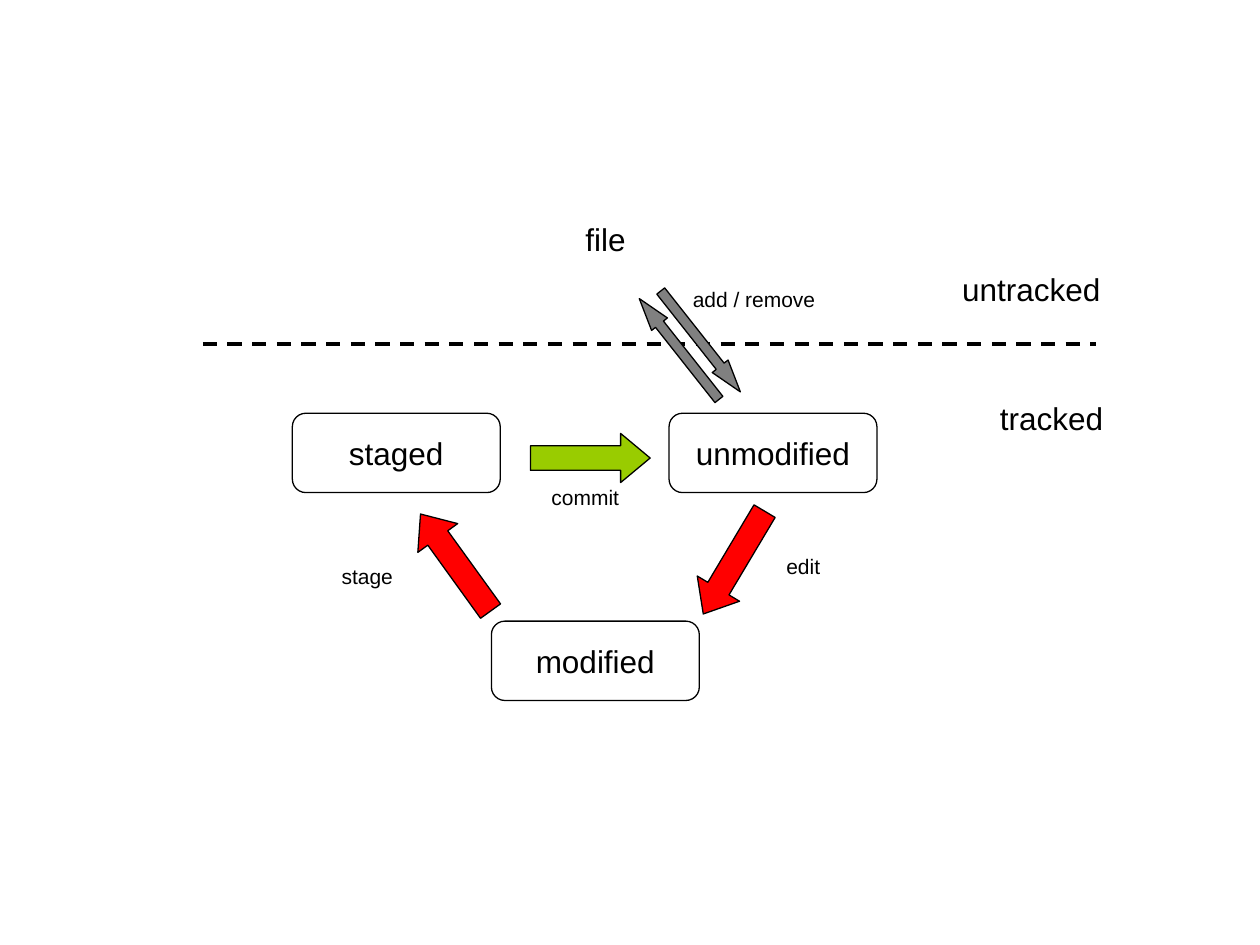
from pptx import Presentation, util as u
from pptx.dml.color import RGBColor
from pptx.enum import dml, shapes, text
from lxml import etree

BLACK = RGBColor(0x00, 0x00, 0x00)
RED = RGBColor(0xFF, 0x00, 0x00)
GREEN = RGBColor(0x99, 0xCC, 0x00)
GRAY = RGBColor(0x80, 0x80, 0x80)
DRAWING_NS = "http://schemas.openxmlformats.org/drawingml/2006/main"


class DiagramSlide:
    font = "Arial"
    item_width = 1.65
    label_height = 0.55
    state_height = 0.63
    state_size = 18
    action_size = 12
    outline = 0.75

    def __init__(self, slide):
        self.shapes = slide.shapes

    def set_caption(self, shape, wording, size):
        """Put one centred line of text in a shape."""
        frame = shape.text_frame
        frame.word_wrap = False
        frame.vertical_anchor = text.MSO_ANCHOR.MIDDLE
        frame.text = wording
        para = frame.paragraphs[0]
        para.alignment = text.PP_ALIGN.CENTER
        font = para.runs[0].font
        font.name, font.size = self.font, u.Pt(size)
        font.color.rgb = BLACK

    def preset(self, kind, left, top, width, height, adjustments, fill=None):
        """Add an outlined shape, filled only when a colour is given."""
        shape = self.shapes.add_shape(
            kind, u.Inches(left), u.Inches(top), u.Inches(width), u.Inches(height))
        shape.shadow.inherit = False
        for index, value in enumerate(adjustments):
            shape.adjustments[index] = value
        if fill is None:
            shape.fill.background()
        else:
            shape.fill.solid()
            shape.fill.fore_color.rgb = fill
        shape.line.color.rgb = BLACK
        shape.line.width = u.Pt(self.outline)
        return shape

    def label(self, wording, left, top, size):
        box = self.shapes.add_textbox(
            u.Inches(left), u.Inches(top),
            u.Inches(self.item_width), u.Inches(self.label_height))
        self.set_caption(box, wording, size)

    def state(self, wording, left, top):
        box = self.preset(shapes.MSO_SHAPE.ROUNDED_RECTANGLE, left, top,
                          self.item_width, self.state_height, [0.17])
        self.set_caption(box, wording, self.state_size)

    def step_arrow(self, left, top, rotation, fill):
        arrow = self.preset(shapes.MSO_SHAPE.DOWN_ARROW, left, top,
                            0.39, 0.95, [0.5, 0.6], fill)
        arrow.rotation = rotation

    def tracking_arrow(self, left, top, rotation):
        arrow = self.preset(shapes.MSO_SHAPE.RIGHT_ARROW, left, top,
                            1.02, 0.16, [0.5, 1.62], GRAY)
        arrow.rotation = rotation

    def divider(self, left, right, top):
        line = self.shapes.add_connector(
            shapes.MSO_CONNECTOR.STRAIGHT,
            u.Inches(left), u.Inches(top), u.Inches(right), u.Inches(top))
        line.line.color.rgb = BLACK
        line.line.width = u.Pt(2)
        line.line.dash_style = dml.MSO_LINE.DASH
        etree.SubElement(line._element.spPr, f"{{{DRAWING_NS}}}effectLst")


def main():
    deck = Presentation()
    deck.slide_width, deck.slide_height = u.Inches(10), u.Inches(7.5)
    blank_layout = deck.slide_layouts[6]
    page = DiagramSlide(deck.slides.add_slide(blank_layout))

    page.divider(1.61, 8.7, 2.73)
    for wording, left, top in [("untracked", 7.36, 2.02), ("tracked", 7.52, 3.04),
                               ("file", 3.98, 1.62)]:
        page.label(wording, left, top, page.state_size)

    upper_row = 3.28
    for wording, left, top in [("unmodified", 5.31, upper_row),
                               ("modified", 3.9, 4.93),
                               ("staged", 2.32, upper_row)]:
        page.state(wording, left, top)

    for left, top, rotation, fill in [(5.63, 3.99, 30.8, RED),
                                      (3.42, 3.99, 144.2, RED),
                                      (4.49, 3.16, 270, GREEN)]:
        page.step_arrow(left, top, rotation, fill)

    add_angle = 51.7
    page.tracking_arrow(5.05, 2.63, add_angle)
    page.tracking_arrow(4.88, 2.69, add_angle + 180)

    for wording, left, top in [("edit", 5.55, 4.22), ("stage", 2.09, 4.3),
                               ("commit", 3.82, 3.67), ("add / remove", 5.16, 2.1)]:
        page.label(wording, left, top, page.action_size)

    deck.save("out.pptx")


if __name__ == "__main__":
    main()
